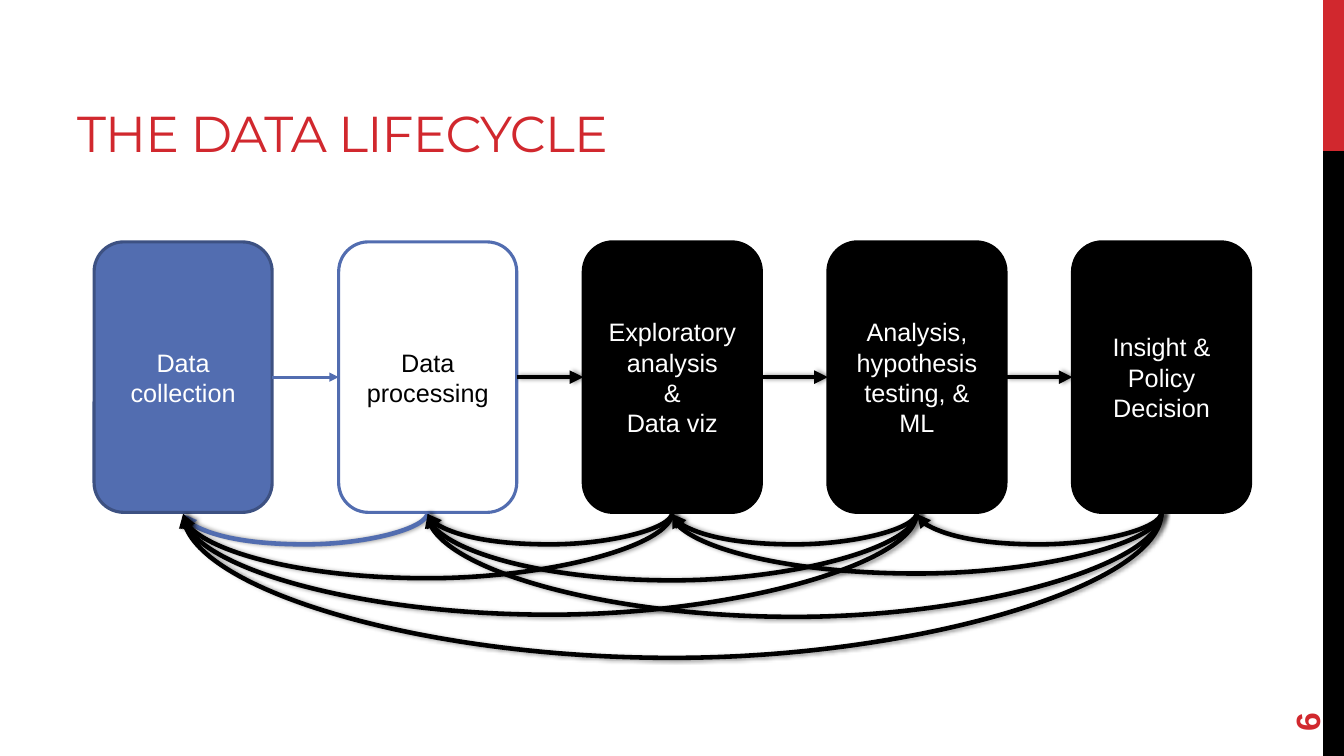
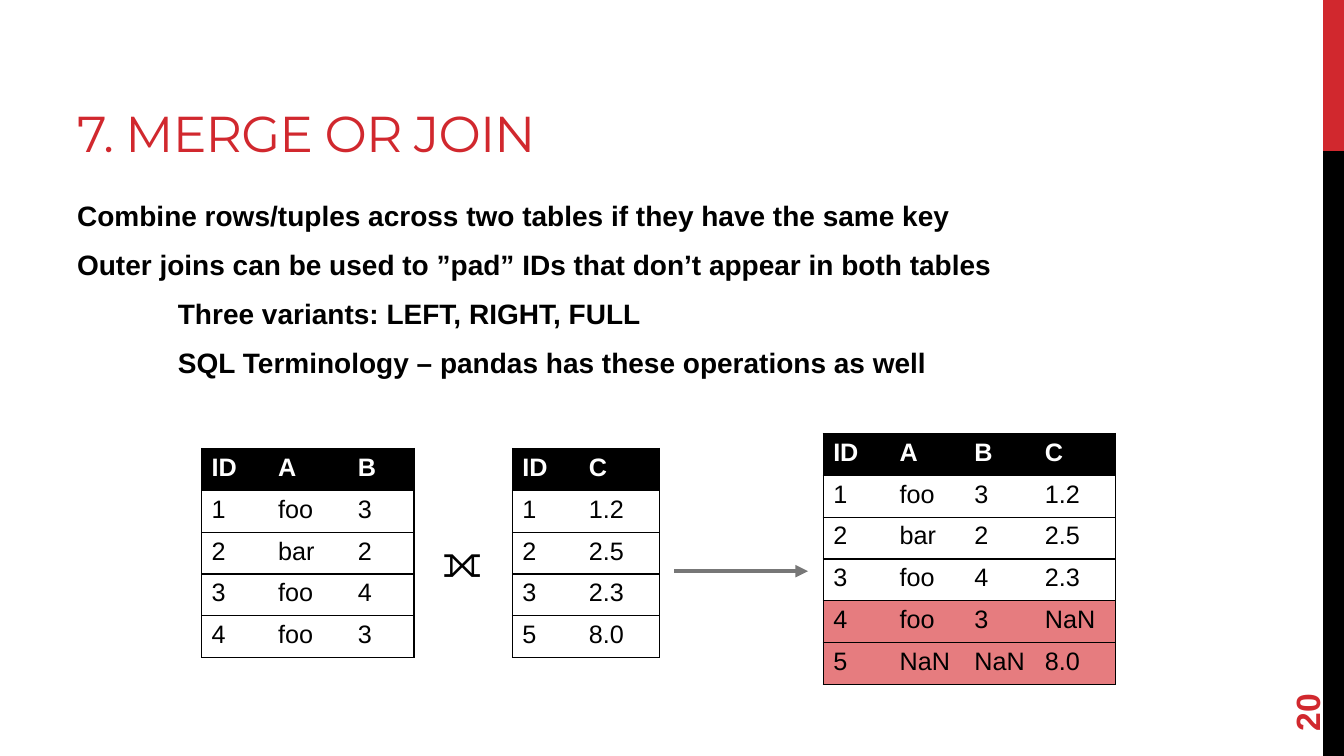
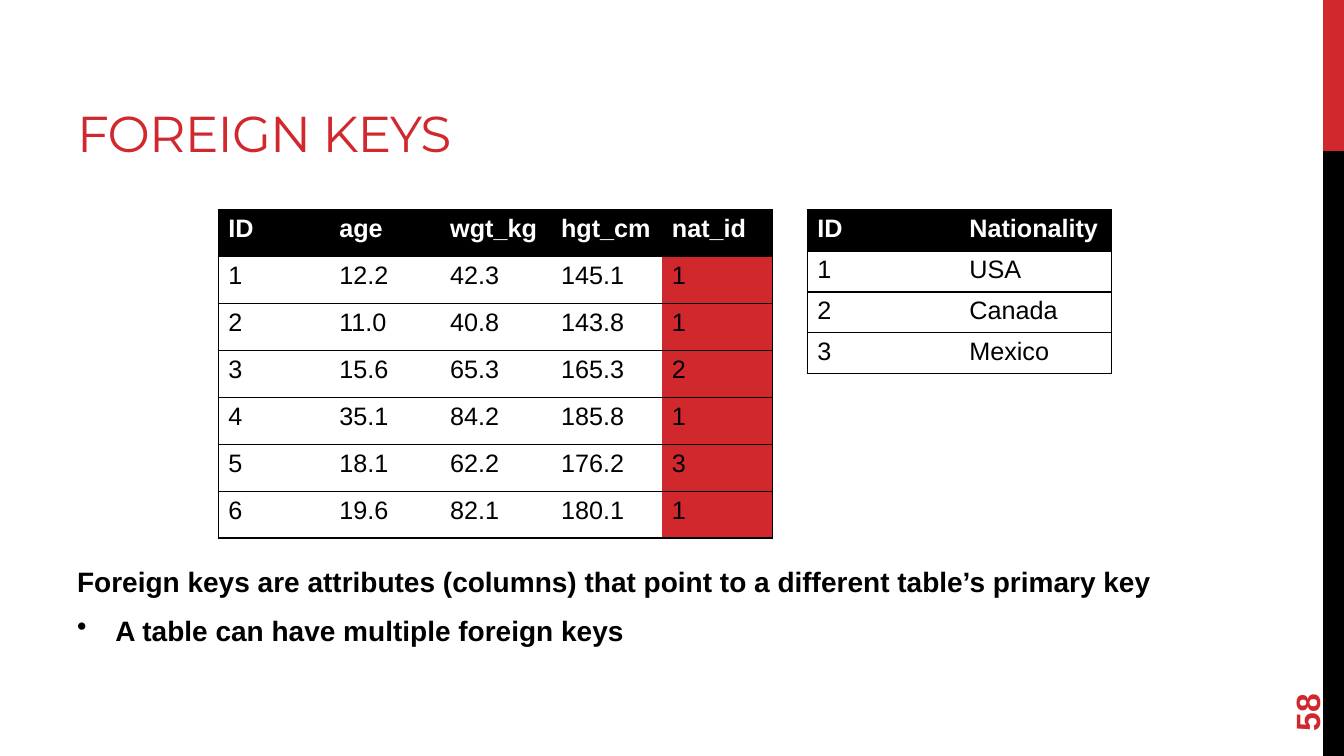
"""Build three lecture slides on the data lifecycle, joins and foreign keys."""
from dataclasses import dataclass

from lxml import etree
from pptx import Presentation
from pptx.dml.color import RGBColor
from pptx.enum.shapes import MSO_CONNECTOR, MSO_SHAPE
from pptx.enum.text import MSO_ANCHOR, PP_ALIGN
from pptx.oxml.ns import qn
from pptx.util import Emu, Inches, Pt

RECTANGLE, ROUNDED = MSO_SHAPE.RECTANGLE, MSO_SHAPE.ROUNDED_RECTANGLE
STRAIGHT, CURVE = MSO_CONNECTOR.STRAIGHT, MSO_CONNECTOR.CURVE
TOP, MIDDLE, BOTTOM = MSO_ANCHOR.TOP, MSO_ANCHOR.MIDDLE, MSO_ANCHOR.BOTTOM
CENTER = PP_ALIGN.CENTER
LEFT_SIDE, BOTTOM_SIDE, RIGHT_SIDE = 1, 2, 3
COLUMNS, ROWS = 80, 45
CELL = Inches(7.5) / ROWS


@dataclass(frozen=True)
class Theme:
    """Colours, fonts and type sizes of the deck."""
    red: str = "D1282E"
    pink: str = "E67C7F"
    black: str = "000000"
    white: str = "FFFFFF"
    blue: str = "526DB0"
    navy: str = "3D5182"
    gray: str = "777777"
    heading: str = "Montserrat"
    text: str = "Arial"
    title_size: float = 36
    symbol_size: float = 32
    number_size: float = 24
    body_size: float = 20
    label_size: float = 18
    outline: float = 2.25
    stroke: float = 3.25


THEME = Theme()


@dataclass(frozen=True)
class Area:
    """A rectangle in grid columns and rows."""
    left: float
    top: float
    width: float
    height: float

    def lengths(self) -> tuple[Emu, Emu, Emu, Emu]:
        """Return the rectangle as slide lengths."""
        return grid(self.left), grid(self.top), grid(self.width), grid(self.height)


@dataclass(frozen=True)
class Style:
    """Look of the text in one box."""
    size: float
    color: str = THEME.black
    font: str = THEME.text
    bold: bool = False
    anchor: int = TOP


@dataclass(frozen=True)
class Line:
    """A body paragraph with its margin in inches and optional bullet."""
    text: str
    margin: float = 0
    bullet: str = ""


@dataclass(frozen=True)
class Stage:
    """A lifecycle stage and the depth of its arrows back, nearest first."""
    lines: tuple[str, ...]
    drops: tuple[float, ...] = ()
    fill: str = THEME.black
    outline: str = THEME.black
    color: str = THEME.white
    arrow: str = THEME.black


@dataclass(frozen=True)
class Grid:
    """A data table whose first row is the header."""
    left: float
    top: float
    widths: tuple[float, ...]
    row_height: float
    rows: tuple[str, ...]
    tint: str = ""
    tinted_rows: tuple[int, ...] = ()
    tinted_columns: tuple[int, ...] = ()


TITLE_AREA = Area(4, 1, 50.6, 9)
NUMBER_AREA = Area(73.45, 38.2, 8.65, 3.2)
BANDS = ((Area(78.75, 0, 1.25, 9), THEME.red), (Area(78.75, 9, 1.25, 36), THEME.black))
TITLE = Style(THEME.title_size, THEME.red, THEME.heading, anchor=BOTTOM)
NUMBER = Style(THEME.number_size, THEME.red, bold=True, anchor=MIDDLE)
BODY = Style(THEME.body_size, bold=True)
SYMBOL = Style(THEME.symbol_size)

FIRST_STAGE = Area(5.6, 14.4, 10.6, 16.1)
STAGE_PITCH = 14.56
CURVE_RISE = 0.1
STAGES = (
    Stage(("Data collection",), fill=THEME.blue, outline=THEME.navy),
    Stage(("Data processing",), (1.92,), THEME.white, THEME.blue, THEME.black, THEME.blue),
    Stage(("Exploratory analysis", "&", "Data viz"), (1.92, 3.95)),
    Stage(("Analysis, hypothesis testing, & ML",), (1.92, 4.08, 6.14)),
    Stage(("Insight & Policy Decision",), (1.92, 3.67, 6.27, 8.73)),
)

JOIN_LINES = (
    Line("Combine rows/tuples across two tables if they have the same key"),
    Line("Outer joins can be used to ”pad” IDs that don’t appear in both tables"),
    Line("Three variants: LEFT, RIGHT, FULL", 1),
    Line("SQL Terminology – pandas has these operations as well", 1),
)
JOIN_TABLES = (
    Grid(12, 26.7, (3.95, 4.75, 3.95), 2.49,
         ("ID A B", "1 foo 3", "2 bar 2", "3 foo 4", "4 foo 3")),
    Grid(30.5, 26.7, (3.95, 4.8), 2.49, ("ID C", "1 1.2", "2 2.5", "3 2.3", "5 8.0")),
    Grid(49, 25.8, (3.95, 4.45, 4.2, 4.8), 2.49,
         ("ID A B C", "1 foo 3 1.2", "2 bar 2 2.5", "3 foo 4 2.3",
          "4 foo 3 NaN", "5 NaN NaN 8.0"),
         THEME.pink, tinted_rows=(4, 5)),
)
KEY_LINES = (
    Line("Foreign keys are attributes (columns) that point to a different table’s primary key"),
    Line("A table can have multiple foreign keys", 0.38, "•"),
)
KEY_TABLES = (
    Grid(13, 12.5, (6.6,) * 5, 2.79,
         ("ID age wgt_kg hgt_cm nat_id", "1 12.2 42.3 145.1 1", "2 11.0 40.8 143.8 1",
          "3 15.6 65.3 165.3 2", "4 35.1 84.2 185.8 1", "5 18.1 62.2 176.2 3",
          "6 19.6 82.1 180.1 1"),
         THEME.red, tinted_columns=(4,)),
    Grid(48.05, 12.5, (9.05,) * 2, 2.44,
         ("ID Nationality", "1 USA", "2 Canada", "3 Mexico")),
)


def grid(cells: float) -> Emu:
    """Turn grid cells into a slide length."""
    return Emu(round(cells * CELL))


def rgb(color: str) -> RGBColor:
    """Turn a hexadecimal colour into a colour object."""
    return RGBColor.from_string(color)


def add_child(parent, tag: str, **attributes):
    """Append a drawing element with the given attributes."""
    child = etree.SubElement(parent, qn(tag))
    for name, value in attributes.items():
        child.set(name, str(value))
    return child


def set_font(para, style: Style) -> None:
    """Apply a text style to a whole paragraph."""
    font = para.font
    font.name, font.size, font.bold = style.font, Pt(style.size), style.bold
    font.color.rgb = rgb(style.color)


def add_text(page, area: Area, lines: tuple[Line, ...], style: Style):
    """Add a text box with one paragraph for each line."""
    box = page.shapes.add_textbox(*area.lengths())
    frame = box.text_frame
    frame.word_wrap = True
    frame.vertical_anchor = style.anchor
    for index, line in enumerate(lines):
        para = frame.add_paragraph() if index else frame.paragraphs[0]
        para.add_run().text = line.text
        if len(lines) > 1:
            para.space_before = Pt(5 if index else 0)
            para.space_after = Pt(6)
        if line.margin:
            properties = para._p.get_or_add_pPr()
            properties.set("marL", str(Inches(line.margin)))
            if line.bullet:
                properties.set("indent", str(-Inches(line.margin)))
                add_child(properties, "a:buChar", char=line.bullet)
        set_font(para, style)
    return box


def add_block(page, shape_type: int, area: Area, fill: str, outline: str = ""):
    """Add a flat preset shape."""
    block = page.shapes.add_shape(shape_type, *area.lengths())
    block.shadow.inherit = False
    block.fill.solid()
    block.fill.fore_color.rgb = rgb(fill)
    if outline:
        block.line.color.rgb = rgb(outline)
        block.line.width = Pt(THEME.outline)
    else:
        block.line.fill.background()
    return block


def add_page(deck, title: str, number: int):
    """Add a slide with its side bands, title and page number."""
    page = deck.slides.add_slide(deck.slide_layouts[6])
    for area, color in BANDS:
        add_block(page, RECTANGLE, area, color)
    heading = add_text(page, TITLE_AREA, (Line(title),), TITLE)
    span = heading.text_frame.paragraphs[0].runs[0]
    span._r.get_or_add_rPr().set("spc", "-60")
    add_text(page, NUMBER_AREA, (Line(str(number)),), NUMBER).rotation = 270
    return page


def style_arrow(arrow, color: str, weight: float, shadow: bool) -> None:
    """Give a connector its colour, weight, arrowhead and shadow."""
    arrow.line.color.rgb = rgb(color)
    arrow.line.width = Pt(weight)
    add_child(arrow.line._get_or_add_ln(), "a:tailEnd", type="triangle")
    effects = add_child(arrow._element.spPr, "a:effectLst")
    if shadow:
        cast = add_child(effects, "a:outerShdw", blurRad=Pt(3.1), dist=Pt(1.8), dir=0,
                         rotWithShape=0)
        add_child(add_child(cast, "a:srgbClr", val=THEME.black), "a:alpha", val=40000)


def add_forward_arrow(page, source, target, color: str) -> None:
    """Join the facing sides of two neighbouring stages."""
    arrow = page.shapes.add_connector(STRAIGHT, 0, 0, 0, 0)
    arrow.begin_connect(source, RIGHT_SIDE)
    arrow.end_connect(target, LEFT_SIDE)
    plain = color != THEME.black
    style_arrow(arrow, color, THEME.outline if plain else THEME.stroke, not plain)


def add_back_arrow(page, source, target, drop: float, color: str) -> None:
    """Curve below the stages from one back to an earlier one."""
    arrow = page.shapes.add_connector(CURVE, 0, 0, 0, 0)
    arrow.begin_connect(source, BOTTOM_SIDE)
    arrow.end_connect(target, BOTTOM_SIDE)
    distance, rise = source.left - target.left, grid(CURVE_RISE)
    middle = target.left + target.width // 2 + distance // 2
    arrow.left = middle - rise // 2
    arrow.top = source.top + source.height + rise // 2 - distance // 2
    arrow.width, arrow.height = rise, distance
    properties = arrow._element.spPr
    frame = properties.find(qn("a:xfrm"))
    for flip in ("flipH", "flipV"):
        frame.attrib.pop(flip, None)
    frame.set("rot", "5400000")
    adjustments = properties.find(qn("a:prstGeom")).find(qn("a:avLst"))
    add_child(adjustments, "a:gd", name="adj1",
              fmla=f"val {round(drop / CURVE_RISE * 100000)}")
    style_arrow(arrow, color, THEME.stroke, True)


def add_stage(page, stage: Stage, index: int):
    """Add one labelled lifecycle stage."""
    area = Area(FIRST_STAGE.left + index * STAGE_PITCH, FIRST_STAGE.top,
                FIRST_STAGE.width, FIRST_STAGE.height)
    block = add_block(page, ROUNDED, area, stage.fill, stage.outline)
    frame = block.text_frame
    frame.word_wrap = True
    frame.vertical_anchor = MIDDLE
    frame.text = "\n".join(stage.lines)
    for para in frame.paragraphs:
        para.alignment = CENTER
        set_font(para, Style(THEME.label_size, stage.color))
    return block


def set_borders(cell, first: bool, last: bool) -> None:
    """Rule a cell above and below, and at the table's outer sides."""
    properties = cell._tc.get_or_add_tcPr()
    sides = (("L", first), ("R", last), ("T", True), ("B", True))
    for position, (side, visible) in enumerate(sides):
        border = add_child(properties, f"a:ln{side}", w=Pt(1))
        if visible:
            add_child(add_child(border, "a:solidFill"), "a:srgbClr", val=THEME.black)
        else:
            add_child(border, "a:noFill")
        properties.insert(position, border)


def add_data_table(page, data: Grid) -> None:
    """Add a table with a black header and optional tinted cells."""
    count, last = len(data.rows), len(data.widths) - 1
    area = Area(data.left, data.top, sum(data.widths), data.row_height * count)
    table = page.shapes.add_table(count, last + 1, *area.lengths()).table
    table.horz_banding = False
    for column, width in zip(table.columns, data.widths):
        column.width = grid(width)
    for row_index, row in enumerate(data.rows):
        table.rows[row_index].height = grid(data.row_height)
        header = row_index == 0
        style = Style(THEME.label_size, THEME.white if header else THEME.black, bold=header)
        for column_index, value in enumerate(row.split()):
            cell = table.cell(row_index, column_index)
            cell.text = value
            set_font(cell.text_frame.paragraphs[0], style)
            tinted = row_index in data.tinted_rows or column_index in data.tinted_columns
            if header or tinted:
                cell.fill.solid()
                cell.fill.fore_color.rgb = rgb(THEME.black if header else data.tint)
            else:
                cell.fill.background()
            set_borders(cell, column_index == 0, column_index == last)


def build_lifecycle(deck) -> None:
    """Build the slide of stages and the arrows between them."""
    page = add_page(deck, "THE DATA LIFECYCLE", 6)
    blocks = []
    for index, stage in enumerate(STAGES):
        block = add_stage(page, stage, index)
        if blocks:
            add_forward_arrow(page, blocks[-1], block, stage.arrow)
        for target, drop in zip(reversed(blocks), stage.drops):
            add_back_arrow(page, block, target, drop, stage.arrow)
        blocks.append(block)


def build_join(deck) -> None:
    """Build the slide that joins two tables into a third."""
    page = add_page(deck, "7. MERGE OR JOIN", 20)
    add_text(page, Area(4, 11.5, 66.65, 28.7), JOIN_LINES, BODY)
    for data in JOIN_TABLES:
        add_data_table(page, data)
    arrow = page.shapes.add_connector(STRAIGHT, grid(40.15), grid(34), grid(48.1), grid(34))
    style_arrow(arrow, THEME.gray, 3, False)
    add_text(page, Area(25.75, 31.4, 4.4, 3.85), (Line("⟗"),), SYMBOL)


def build_keys(deck) -> None:
    """Build the slide on foreign keys."""
    page = add_page(deck, "FOREIGN KEYS", 58)
    add_text(page, Area(4, 33.3, 66.65, 6.9), KEY_LINES, BODY)
    for data in KEY_TABLES:
        add_data_table(page, data)


def main() -> None:
    """Build and save the deck."""
    deck = Presentation()
    deck.slide_width, deck.slide_height = grid(COLUMNS), grid(ROWS)
    for build in (build_lifecycle, build_join, build_keys):
        build(deck)
    deck.save("out.pptx")


if __name__ == "__main__":
    main()
